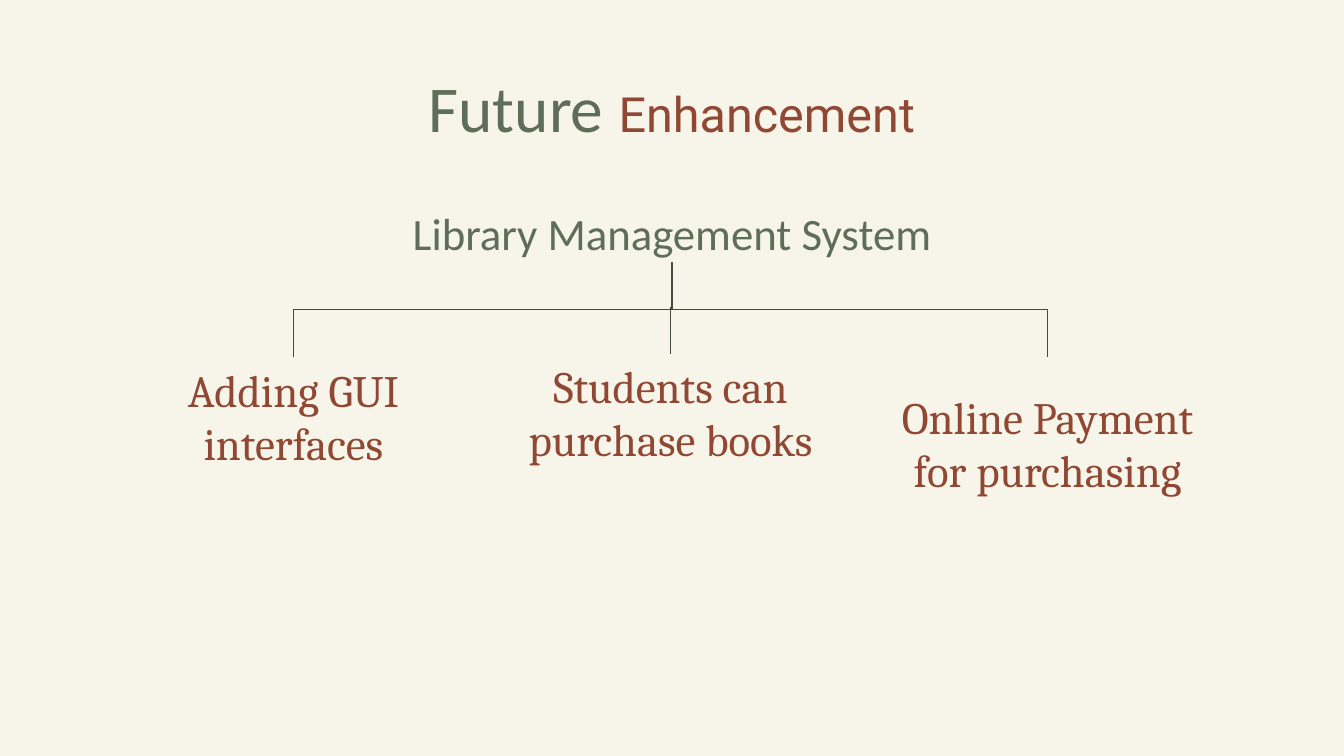
from lxml import etree
from pptx import Presentation
from pptx.dml.color import RGBColor
from pptx.enum import shapes, text
from pptx.oxml import ns
from pptx.util import Pt

GREEN, RUST, LINE, PAPER = "5F6E59", "904834", "454943", "F7F5E9"

TITLE = [("Future ", 35, "Calibri", GREEN), ("Enhancement", 26, "Roboto", RUST)]
SYSTEM = "Library Management System"
# wording, end of the branch line, centre of the text
ENHANCEMENTS = [
    ("Adding GUI interfaces", 191.5, 222.9),
    ("Students can purchase books", 189.5, 220.8),
    ("Online Payment for purchasing", 191.5, 237.4),
]

ROOT_X, ROOT_Y = 360, 140.3
FIRST_X, PITCH = 157.2, 202
ITEM_W, ITEM_H = 189.4, 72


def rgb(colour):
    return RGBColor.from_string(colour)


def write(box, runs, anchor=text.MSO_ANCHOR.MIDDLE):
    """Fill a shape with one centred paragraph of (wording, size, font, colour) runs."""
    frame = box.text_frame
    frame.word_wrap = True
    frame.auto_size = text.MSO_AUTO_SIZE.NONE
    frame.vertical_anchor = anchor
    frame.margin_left = frame.margin_right = Pt(7.2)
    frame.margin_top = frame.margin_bottom = Pt(7.2)
    paragraph = frame.paragraphs[0]
    paragraph.alignment = text.PP_ALIGN.CENTER
    for wording, size, font, colour in runs:
        run = paragraph.add_run()
        run.text = wording
        run.font.size = Pt(size)
        run.font.name = font
        run.font.bold = False
        run.font.color.rgb = rgb(colour)


def add_label(slide, wording, left, top, width, height, font, colour):
    box = slide.shapes.add_textbox(Pt(left), Pt(top), Pt(width), Pt(height))
    write(box, [(wording, 24, font, colour)])


def add_branch(slide, x, y):
    """Elbow from (x, y) up to the root, turned so that its ends run vertically."""
    rise, reach = y - ROOT_Y, abs(ROOT_X - x)
    mid_x, mid_y = (x + ROOT_X) / 2, (y + ROOT_Y) / 2
    on_left = x < ROOT_X
    side = rise / 2 if on_left else -rise / 2
    branch = slide.shapes.add_connector(
        shapes.MSO_CONNECTOR.ELBOW,
        Pt(mid_x + side), Pt(mid_y + reach / 2),
        Pt(mid_x - side), Pt(mid_y - reach / 2))
    branch.line.color.rgb = rgb(LINE)
    branch.line.width = Pt(0.75)
    properties = branch._element.spPr
    quarter_turns = 1 if on_left else 3
    properties.find(ns.qn("a:xfrm")).set("rot", str(quarter_turns * 90 * 60000))
    etree.SubElement(properties, ns.qn("a:effectLst"))


def main():
    deck = Presentation()
    deck.slide_width, deck.slide_height = Pt(720), Pt(405)
    slide = deck.slides.add_slide(deck.slide_layouts[5])
    slide.background.fill.solid()
    slide.background.fill.fore_color.rgb = rgb(PAPER)

    title = slide.shapes.title
    title.left, title.top = Pt(53), Pt(28.8)
    title.width, title.height = Pt(614), Pt(45.4)
    write(title, TITLE, anchor=text.MSO_ANCHOR.TOP)

    add_label(slide, SYSTEM, 211, 109.6, 298, 30.4, "Calibri", GREEN)
    for i, (wording, branch_end, centre_y) in enumerate(ENHANCEMENTS):
        x = FIRST_X + i * PITCH
        add_branch(slide, x, branch_end)
        add_label(slide, wording, x - ITEM_W / 2, centre_y - ITEM_H / 2,
                  ITEM_W, ITEM_H, "Cambria", RUST)

    deck.save("out.pptx")


if __name__ == "__main__":
    main()
